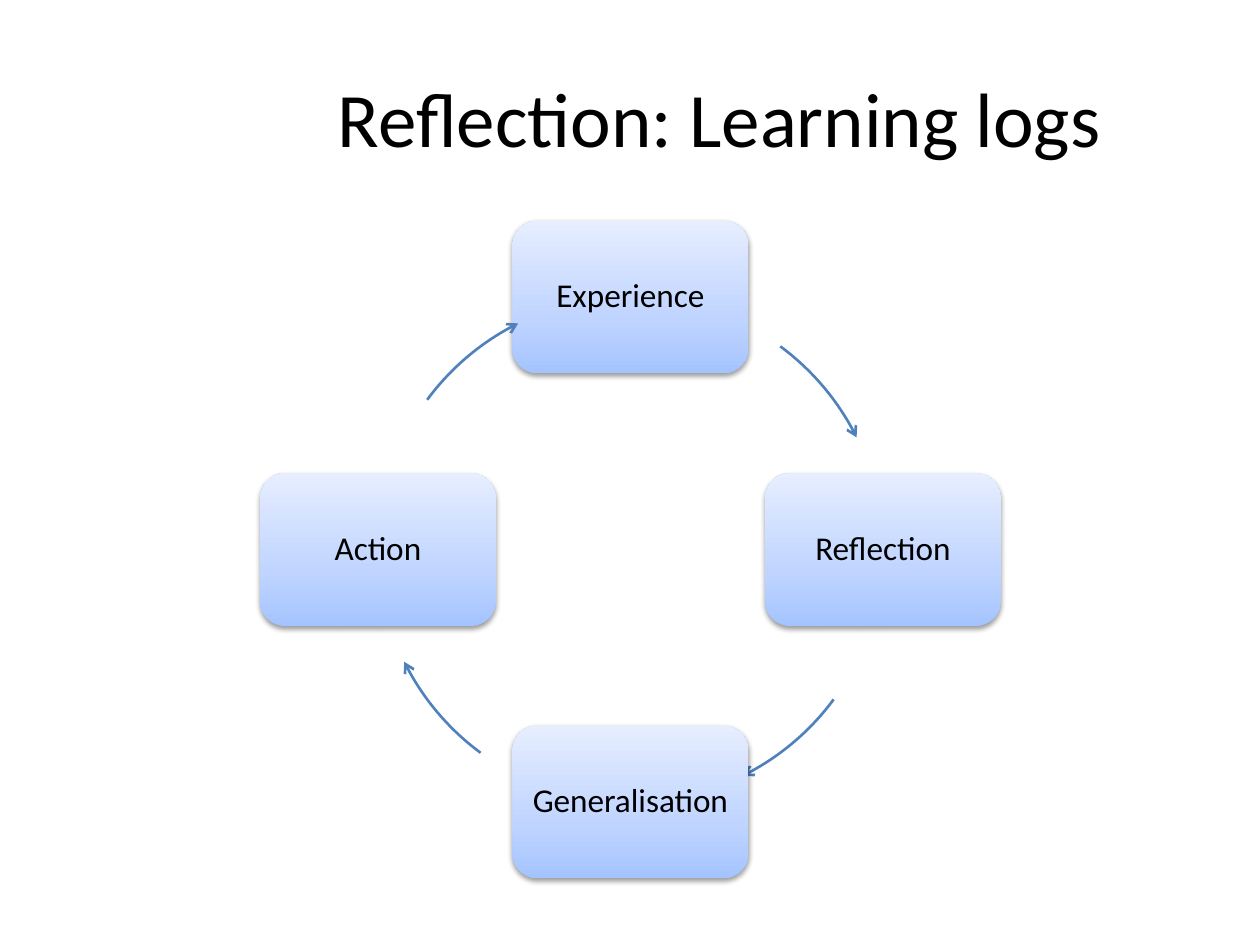
from copy import deepcopy
from dataclasses import dataclass
from math import cos, radians, sin

from lxml.etree import SubElement
from pptx import Presentation
from pptx.dml.color import RGBColor as Rgb
from pptx.enum.shapes import MSO_SHAPE as Preset
from pptx.enum.text import MSO_ANCHOR as Anchor, PP_ALIGN as Align
from pptx.oxml.ns import qn
from pptx.util import Cm, Pt

COLORS = {
    "text": "000000",
    "shadow": "000000",
    "arrow": "4F81BD",
    "bottom": "A4C4FF",
    "middle": "BFD4FF",
    "top": "E6EEFF",
}
GRADIENT = [(0, "bottom"), (0.35, "middle"), (1, "top")]
FONT = "Calibri"
CENTER_X, CENTER_Y, RADIUS = 12.71, 11.08, 5.09
BOX_WIDTH, BOX_HEIGHT = 4.76, 3.08
ARC_START, ARC_END = 36.4, 63.6


@dataclass
class Stage:
    label: str
    angle: float


STAGES = [
    Stage(label, 90 * index - 90)
    for index, label in enumerate(["Experience", "Reflection", "Generalisation", "Action"])
]


def set_attributes(target, values: dict) -> None:
    for name, value in values.items():
        setattr(target, name, value)


def write_text(shape, text: str, size: float, line_spacing: float = 1.0) -> None:
    frame = shape.text_frame
    set_attributes(frame, {"word_wrap": True, "vertical_anchor": Anchor.MIDDLE})
    para = frame.paragraphs[0]
    set_attributes(para, {"alignment": Align.CENTER, "line_spacing": line_spacing})
    span = para.add_run()
    span.text = text
    set_attributes(span.font, {"name": FONT, "size": Pt(size)})
    span.font.color.rgb = Rgb.from_string(COLORS["text"])


def fill_gradient(shape) -> None:
    shape.fill.gradient()
    shape.fill.gradient_angle = 90
    stop_list = shape._element.spPr.find(qn("a:gradFill")).find(qn("a:gsLst"))
    stop_list.append(deepcopy(stop_list[0]))
    for stop, (position, color) in zip(shape.fill.gradient_stops, GRADIENT):
        stop.position = position
        stop.color.rgb = Rgb.from_string(COLORS[color])


def add_shadow(shape) -> None:
    shape.shadow.inherit = False
    effects = shape._element.spPr.find(qn("a:effectLst"))
    shadow = SubElement(
        effects, qn("a:outerShdw"),
        blurRad="40000", dist="20000", dir="5400000", rotWithShape="0",
    )
    color = SubElement(shadow, qn("a:srgbClr"), val=COLORS["shadow"])
    SubElement(color, qn("a:alpha"), val="38000")


def draw_stage(page, stage: Stage) -> None:
    middle_x = CENTER_X + RADIUS * cos(radians(stage.angle))
    middle_y = CENTER_Y + RADIUS * sin(radians(stage.angle))
    box = page.shapes.add_shape(
        Preset.ROUNDED_RECTANGLE,
        Cm(middle_x - BOX_WIDTH / 2), Cm(middle_y - BOX_HEIGHT / 2),
        Cm(BOX_WIDTH), Cm(BOX_HEIGHT),
    )
    fill_gradient(box)
    box.line.fill.background()
    add_shadow(box)
    sides = ("left", "right", "top", "bottom")
    set_attributes(box.text_frame, {f"margin_{side}": Cm(0.2) for side in sides})
    write_text(box, stage.label, 19, 0.9)


def draw_arrow(page, stage: Stage) -> None:
    arc = page.shapes.add_shape(
        Preset.ARC, Cm(CENTER_X - RADIUS), Cm(CENTER_Y - RADIUS),
        Cm(2 * RADIUS), Cm(2 * RADIUS),
    )
    for index, offset in enumerate((ARC_START, ARC_END)):
        arc.adjustments[index] = (stage.angle + offset) % 360 * 0.6
    arc.fill.background()
    arc.shadow.inherit = False
    arc.line.width = Pt(1.5)
    arc.line.color.rgb = Rgb.from_string(COLORS["arrow"])
    SubElement(arc.line._get_or_add_ln(), qn("a:tailEnd"), type="arrow")


def main() -> None:
    deck = Presentation()
    set_attributes(deck, {"slide_width": Cm(25.4), "slide_height": Cm(19.05)})
    page = deck.slides.add_slide(deck.slide_layouts[5])
    title = page.shapes.title
    set_attributes(title, {
        "left": Cm(3.91), "top": Cm(0.76), "width": Cm(21.2), "height": Cm(3.18),
    })
    write_text(title, "Reflection: Learning logs", 44)
    for stage in STAGES:
        draw_stage(page, stage)
        draw_arrow(page, stage)
    deck.save("out.pptx")


if __name__ == "__main__":
    main()
